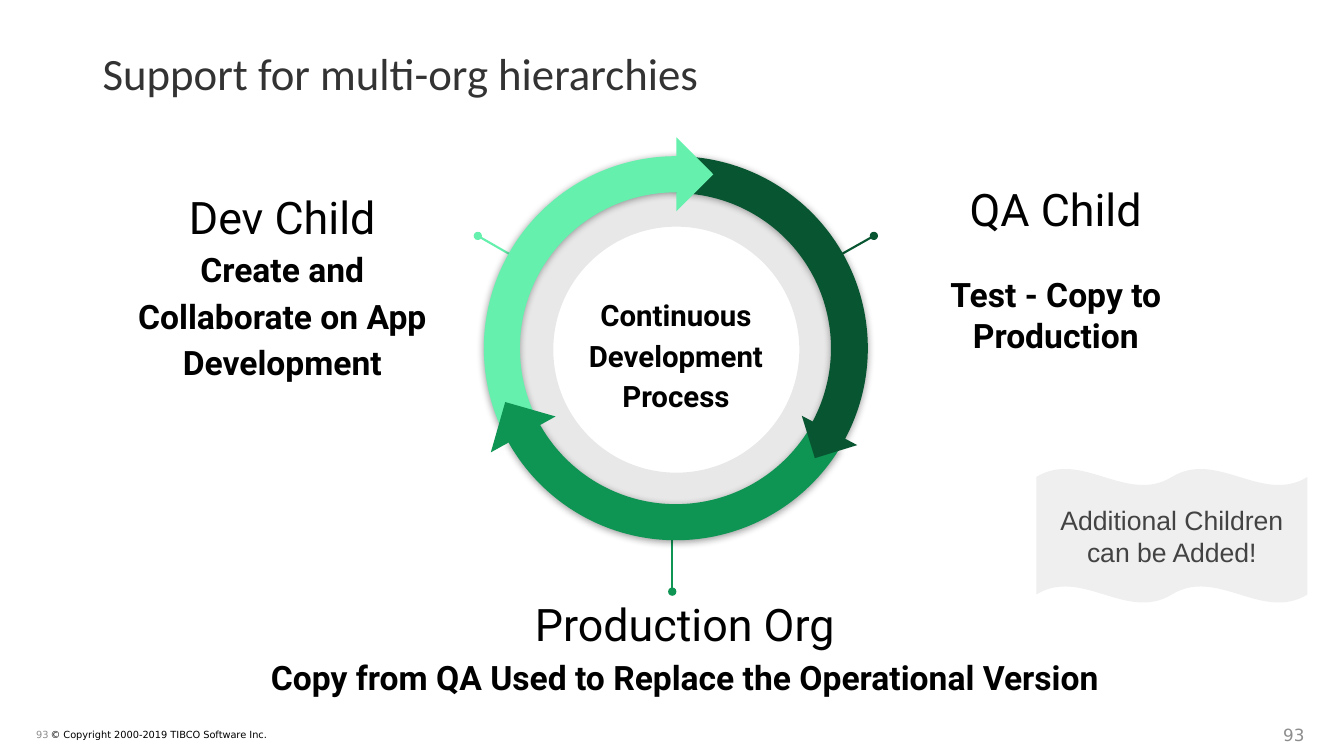
"""Build the slide on multi-org hierarchies with its development cycle."""
from lxml import etree
from pptx import Presentation
from pptx.dml.color import RGBColor
from pptx.enum.shapes import MSO_CONNECTOR, MSO_SHAPE
from pptx.enum.text import MSO_ANCHOR, PP_ALIGN
from pptx.oxml.ns import qn
from pptx.util import Pt

STRAIGHT = MSO_CONNECTOR.STRAIGHT
DONUT, ARC = MSO_SHAPE.DONUT, MSO_SHAPE.BLOCK_ARC
TRIANGLE, WAVE = MSO_SHAPE.RIGHT_TRIANGLE, MSO_SHAPE.DOUBLE_WAVE
TOP, MIDDLE = MSO_ANCHOR.TOP, MSO_ANCHOR.MIDDLE
LEFT, CENTER, RIGHT = PP_ALIGN.LEFT, PP_ALIGN.CENTER, PP_ALIGN.RIGHT

BLACK = RGBColor(0x00, 0x00, 0x00)
TITLE_GRAY = RGBColor(0x33, 0x33, 0x33)
NOTE_GRAY = RGBColor(0x43, 0x43, 0x43)
NUMBER_GRAY = RGBColor(0x8D, 0x8D, 0x8D)
PALE_GRAY = RGBColor(0xEF, 0xEF, 0xEF)
DARK_GREEN = RGBColor(0x08, 0x56, 0x31)
LIGHT_GREEN = RGBColor(0x65, 0xF0, 0xAD)
GREEN = RGBColor(0x0E, 0x94, 0x53)

TITLE = "Support for multi-org hierarchies"
CYCLE = "Continuous Development Process"
NOTE = "Additional Children can be Added!"
COPYRIGHT = "© Copyright 2000-2019 TIBCO Software Inc."
NUMBER = "93"

ORGS = [
    dict(name="Production Org", task="Copy from QA Used to Replace the Operational Version",
         box=(174.2, 411.1, 630, 59), spacing=1.15, gap=0),
    dict(name="Dev Child", task="Create and Collaborate on App Development",
         box=(76.3, 120.2, 250.6, 217.4), spacing=1.15, gap=0),
    dict(name="QA Child", task="Test - Copy to Production",
         box=(624.2, 120.2, 259.9, 66.2), spacing=1, gap=28),
]
POINTERS = [
    (LIGHT_GREEN, (341.3, 168.5), (385.2, 193.7)),
    (DARK_GREEN, (624.2, 168.5), (579.6, 193.7)),
    (GREEN, (480.2, 422.6), (480.2, 377.3)),
]
CYCLE_PARTS = [
    (ARC, DARK_GREEN, 30, False, (144.144, 0.007, 0.096)),
    (ARC, LIGHT_GREEN, 330, True, (143.486, 214.729, 0.094)),
    (TRIANGLE, LIGHT_GREEN, 225.1, (464.4, 105.8), 37.4),
    (ARC, GREEN, 210, True, (143.162, 215.027, 0.094)),
    (TRIANGLE, DARK_GREEN, 342.9, (576.7, 291.6), 31.7),
    (TRIANGLE, GREEN, 106, (355, 291.6), 37.4),
]
RING_BOX = (345.6, 111.6, 274.3, 274.3)
HALO_BOX = (353.5, 120.2, 259.2, 259.2)
WIDE_INSETS = (9.36,) * 4
SLIM_INSETS = (7.2, 3.6, 7.2, 3.6)


def write(shape, paragraphs, font="Roboto", color=BLACK, align=CENTER,
          anchor=TOP, insets=WIDE_INSETS, spacing=None):
    """Fill a shape with (text, size, bold, space before) paragraphs."""
    frame = shape.text_frame
    frame.word_wrap = True
    frame.vertical_anchor = anchor
    (frame.margin_left, frame.margin_top,
     frame.margin_right, frame.margin_bottom) = map(Pt, insets)
    for index, (text, size, bold, before) in enumerate(paragraphs):
        line = frame.add_paragraph() if index else frame.paragraphs[0]
        line.alignment = align
        if spacing:
            line.line_spacing = spacing
        if before:
            line.space_before = Pt(before)
        run = line.add_run()
        run.text = text
        run.font.name, run.font.size, run.font.bold = font, Pt(size), bold
        run.font.color.rgb = color


def add_text(slide, box, paragraphs, **style):
    write(slide.shapes.add_textbox(*map(Pt, box)), paragraphs, **style)


def add_form(slide, kind, box, color, adjustments=(), rotation=0):
    form = slide.shapes.add_shape(kind, *map(Pt, box))
    form.shadow.inherit = False
    form.fill.solid()
    form.fill.fore_color.rgb = color
    form.line.fill.background()
    form.rotation = rotation
    for index, value in enumerate(adjustments):
        form.adjustments[index] = value
    return form


def add_alpha(color_element, percent):
    etree.SubElement(color_element, qn("a:alpha"), val=str(percent * 1000))


def cast_shadow(form):
    effects = form.element.spPr.find(qn("a:effectLst"))
    shadow = etree.SubElement(effects, qn("a:outerShdw"), blurRad=str(Pt(5.6)),
                              dist=str(Pt(0.8)), dir="5400000", rotWithShape="0")
    add_alpha(etree.SubElement(shadow, qn("a:srgbClr"), val=str(BLACK)), 40)


def add_pointer(slide, color, dot, ring):
    pointer = slide.shapes.add_connector(STRAIGHT, *map(Pt, dot + ring))
    pointer.line.color.rgb = color
    pointer.line.width = Pt(1.5)
    etree.SubElement(pointer.line._get_or_add_ln(), qn("a:headEnd"), type="oval")
    etree.SubElement(pointer._element.spPr, qn("a:effectLst"))


def add_cycle(slide):
    for kind, color, rotation, placing, size in CYCLE_PARTS:
        if kind == TRIANGLE:
            add_form(slide, kind, (*placing, size, size), color, rotation=rotation)
            continue
        arc = add_form(slide, kind, RING_BOX, color, size, rotation)
        cast_shadow(arc)
        if placing:
            arc.element.spPr.find(qn("a:xfrm")).set("flipH", "1")


def main():
    deck = Presentation()
    deck.slide_width, deck.slide_height = Pt(960), Pt(540)
    slide = deck.slides.add_slide(deck.slide_layouts[6])

    footer = dict(font="DejaVu Sans", anchor=MIDDLE)
    for left, width, size in ((722.9, 216, 12), (1.4, 40.3, 7)):
        add_text(slide, (left, 510.5, width, 28.8), [(NUMBER, size, False, 0)],
                 color=NUMBER_GRAY, align=RIGHT, insets=SLIM_INSETS, **footer)
    add_text(slide, (21.6, 510.5, 200, 28.8), [(COPYRIGHT, 7, False, 0)],
             align=LEFT, insets=(14.6, 3.6, 7.2, 3.6), **footer)

    halo = add_form(slide, DONUT, HALO_BOX, BLACK, (0.161,))
    add_alpha(halo.element.spPr.find(qn("a:solidFill"))[0], 9)
    for pointer in POINTERS:
        add_pointer(slide, *pointer)
    for org in ORGS:
        add_text(slide, org["box"], [(org["name"], 32, False, 0),
                                     (org["task"], 24, True, org["gap"])],
                 spacing=org["spacing"])
    add_text(slide, (409, 211, 147.6, 82.1), [(CYCLE, 21, True, 0)],
             anchor=MIDDLE, spacing=1.15)
    add_cycle(slide)

    add_text(slide, (66.2, 28.8, 893.8, 46), [(TITLE, 32, False, 0)],
             font="Calibri", color=TITLE_GRAY, align=LEFT, insets=SLIM_INSETS)
    banner = add_form(slide, WAVE, (740.2, 334.8, 193.7, 95.8), PALE_GRAY, (0.062, 0))
    write(banner, [(NOTE, 19, False, 0)], font="Arial", color=NOTE_GRAY, anchor=MIDDLE)
    deck.save("out.pptx")


if __name__ == "__main__":
    main()
